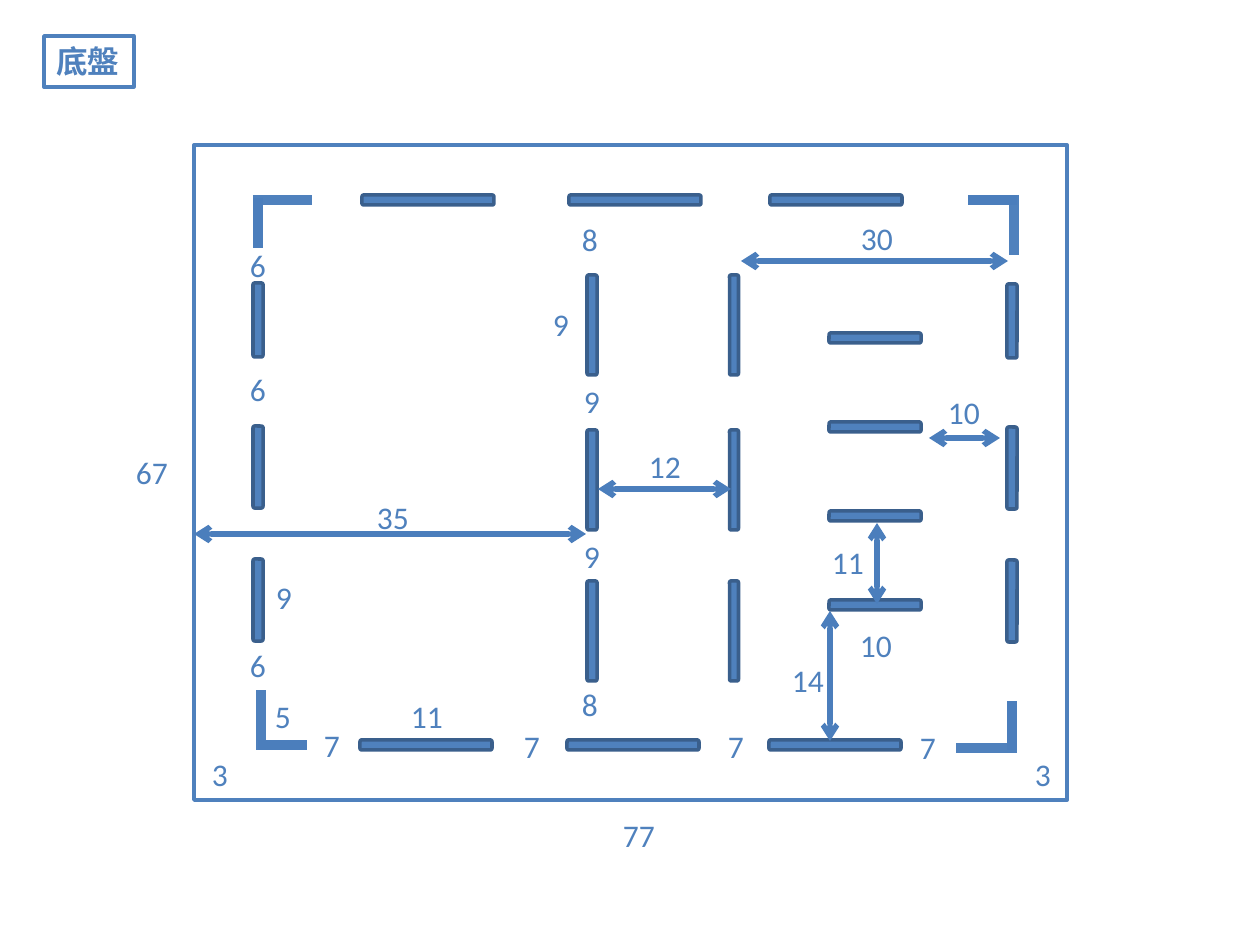
from lxml import etree
from pptx import Presentation
from pptx.dml.color import RGBColor
from pptx.enum import shapes, text
from pptx.oxml import ns
from pptx.util import Pt

PX = 914400 / 126
BLUE, EDGE, RULE = "4F81BD", "3A5F8C", "4B7EBC"


def box(x, y, w, h, kind="RECTANGLE", fill="FFFFFF", edge=BLUE, wide=2):
    """Add a filled, outlined shape and return it."""
    item = slide.shapes.add_shape(
        shapes.MSO_SHAPE[kind], *[round(n * PX) for n in (x, y, w, h)])
    item.shadow.inherit = False
    item.fill.solid()
    item.fill.fore_color.rgb = RGBColor.from_string(fill)
    item.line.color.rgb = RGBColor.from_string(edge)
    item.line.width = Pt(wide)
    return item


def write(item, words, font="Calibri", bold=False):
    """Put blue, left-aligned text into a shape that fits it."""
    frame = item.text_frame
    frame.word_wrap = False
    frame.auto_size = text.MSO_AUTO_SIZE.SHAPE_TO_FIT_TEXT
    frame.vertical_anchor = text.MSO_ANCHOR.TOP
    frame.paragraphs[0].alignment = text.PP_ALIGN.LEFT
    run = frame.paragraphs[0].add_run()
    run.text = words
    run.font.name, run.font.size, run.font.bold = font, Pt(18), bold
    run.font.color.rgb = RGBColor.from_string(BLUE)
    if not words.isascii():
        face = etree.SubElement(run.font._element, ns.qn("a:ea"))
        face.set("typeface", font)


deck = Presentation()
deck.slide_width, deck.slide_height = round(1260 * PX), round(945 * PX)
slide = deck.slides.add_slide(deck.slide_layouts[6])

# Base plate and title
box(194, 145, 873, 655, wide=2.25)
write(box(44, 36, 90, 51), "底盤", font="Noto Sans CJK SC", bold=True)

# Walls: centre x, centre y, length, thickness, turn
walls = [(x, 745, 132, 10, 0) for x in (426, 633, 835)]
walls += [(x, 200, 132, 10, 0) for x in (428, 635, 836)]
for x, top in (258, 320), (1012, 321):
    walls += [(x, top, 74, 10, 90), (x, top + 147, 82, 10, 90),
              (x, top + 280, 82, 10, 90)]
for x, thick in (592, 10), (734, 9):
    walls += [(x, y, 100, thick, 90) for y in (325, 480, 631)]
walls += [(875, 338 + 89 * i, 92, 10, 0) for i in range(4)]
for x, y, size, thick, turn in walls:
    wall = box(x - size / 2, y - thick / 2, size, thick,
               kind="ROUNDED_RECTANGLE", fill=BLUE, edge=EDGE)
    wall.rotation = turn

# Corner strokes and measuring arrows: from x, y to x, y
corners = [
    (253, 200, 312, 200), (258, 198, 258, 248),
    (1017, 748, 956, 748), (1012, 750, 1012, 701),
    (1014, 195, 1014, 255), (1017, 200, 968, 200),
    (261, 750, 261, 690), (258, 745, 307, 745),
]
arrows = [
    (194, 534, 586, 534), (598, 489, 731, 489), (741, 261, 1008, 261),
    (929, 438, 1000, 438), (830, 611, 830, 741), (877, 523, 877, 604),
]
for i, ends in enumerate(corners + arrows):
    line = slide.shapes.add_connector(
        shapes.MSO_CONNECTOR.STRAIGHT, *[round(n * PX) for n in ends])
    arrow = i >= len(corners)
    line.line.width = Pt(3 if arrow else 6)
    line.line.color.rgb = RGBColor.from_string(
        RULE if arrow or i % 2 else BLUE)
    if arrow:
        for tag in "a:headEnd", "a:tailEnd":
            etree.SubElement(line.line._ln, ns.qn(tag)).set("type", "arrow")
    etree.SubElement(line._element.spPr, ns.qn("a:effectLst"))

# Measures, each with the centres where it stands
marks = {
    "77": [(639, 835)], "67": [(152, 472)],
    "3": [(220, 774), (1043, 774)], "5": [(283, 716)],
    "6": [(258, 265), (258, 389), (258, 665)],
    "7": [(332, 745), (532, 746), (736, 746), (928, 747)],
    "8": [(590, 239), (590, 704)],
    "9": [(284, 597), (561, 324), (592, 401), (592, 556)],
    "10": [(876, 645), (964, 412)], "11": [(427, 716), (848, 562)],
    "12": [(665, 466)], "14": [(808, 680)],
    "30": [(877, 238)], "35": [(393, 517)],
}
for words, spots in marks.items():
    wide = 25 + 16 * len(words)
    for x, y in spots:
        area = (x - wide / 2, y - 25, wide, 51)
        write(slide.shapes.add_textbox(*[round(n * PX) for n in area]), words)

deck.save("out.pptx")
